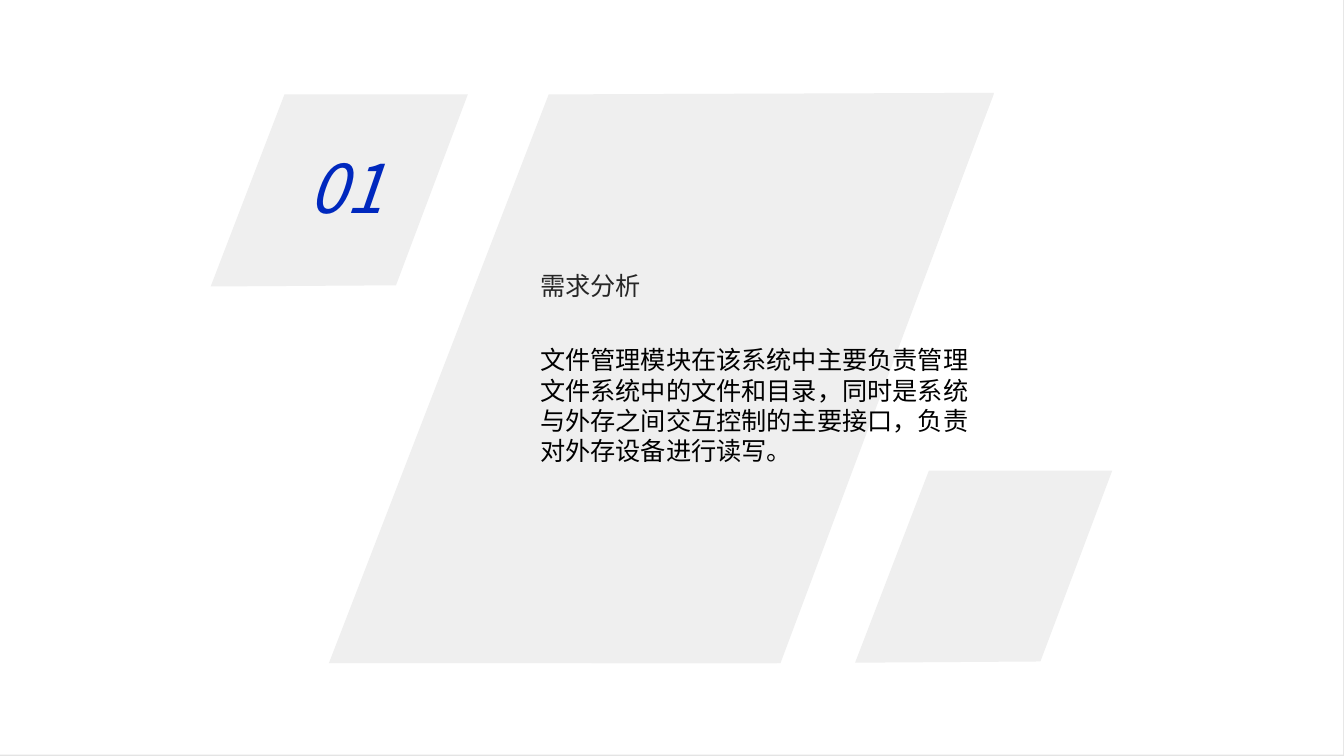
from lxml import etree
from pptx import Presentation
from pptx import util as u
from pptx.dml.color import RGBColor
from pptx.enum import shapes, text
from pptx.oxml.ns import qn

COLORS = {"edge": "E4E4E4", "page": "FFFFFF", "block": "EFEFEF",
          "title": "262626", "number": "0028BE", "body": "000000"}
SANS, BODY = "Noto Sans CJK SC", "Calibri"
SMALL_BLOCK = [(0, 4.84), (1.86, 0), (6.48, 0), (4.67, 4.81)]
LARGE_BLOCK = [(0, 14.37), (5.54, 0.04), (16.76, 0), (11.38, 14.37)]
TALL_BLOCK = [(0, 14.33), (5.54, 0), (10.13, 0), (4.67, 14.33)]


def paint(sp, color):
    """Give a shape a flat fill with no line or shadow."""
    sp.shadow.inherit = False
    sp.fill.solid()
    sp.fill.fore_color.rgb = RGBColor.from_string(COLORS[color])
    sp.line.fill.background()


def add_block(s, left, top, corners):
    """Draw a slanted block from corners relative to its top left."""
    points = [(u.Cm(left + x), u.Cm(top + y)) for x, y in corners]
    builder = s.shapes.build_freeform(*points[0])
    builder.add_line_segments(points[1:], close=True)
    paint(builder.convert_to_shape(), "block")


def write(sp, box, words, color, font, align=text.PP_ALIGN.LEFT):
    """Place a text shape and fill it with one formatted paragraph."""
    sp.left, sp.top, sp.width, sp.height = map(u.Cm, box)
    tf = sp.text_frame
    frame = {"word_wrap": True, "auto_size": text.MSO_AUTO_SIZE.NONE,
             "vertical_anchor": text.MSO_ANCHOR.TOP}
    for key, value in frame.items():
        setattr(tf, key, value)
    p = tf.paragraphs[0]
    p.alignment = align
    r = p.add_run()
    r.text = words
    for key, value in font.items():
        setattr(r.font, key, value)
    r.font.color.rgb = RGBColor.from_string(COLORS[color])
    ea = etree.SubElement(r.font._element, qn("a:ea"))
    ea.set("typeface", font["name"])


def add_text(s, box, *args):
    """Add a text box and write into it."""
    write(s.shapes.add_textbox(*map(u.Cm, box)), box, *args)


def main():
    """Build the section slide."""
    prs = Presentation()
    prs.slide_width, prs.slide_height = u.Cm(33.87), u.Cm(19.05)
    s = prs.slides.add_slide(prs.slide_layouts[5])
    s.background.fill.solid()
    s.background.fill.fore_color.rgb = RGBColor.from_string(COLORS["edge"])

    page = s.shapes.add_shape(shapes.MSO_SHAPE.RECTANGLE, u.Cm(-0.03),
                              u.Cm(-0.03), u.Cm(33.88), u.Cm(19.05))
    paint(page, "page")
    for left, top, corners in [(5.31, 2.38, SMALL_BLOCK),
                               (21.55, 11.86, SMALL_BLOCK),
                               (8.29, 2.34, LARGE_BLOCK),
                               (14.91, 2.38, TALL_BLOCK)]:
        add_block(s, left, top, corners)

    title = s.shapes.title
    s.shapes._spTree.append(title._element)
    write(title, (13.36, 6.69, 7.75, 1.2), "需求分析", "title",
          {"name": SANS, "size": u.Pt(18)})
    add_text(s, (7.16, 3.56, 3.12, 2.31), "01", "number",
             {"name": SANS, "size": u.Pt(48), "italic": True},
             text.PP_ALIGN.CENTER)
    add_text(s, (13.36, 8.56, 11.84, 3.33),
             "文件管理模块在该系统中主要负责管理文件系统中的文件和目录，"
             "同时是系统与外存之间交互控制的主要接口，负责对外存设备进行读写。",
             "body", {"name": BODY, "size": u.Pt(18)})
    prs.save("out.pptx")


if __name__ == "__main__":
    main()
